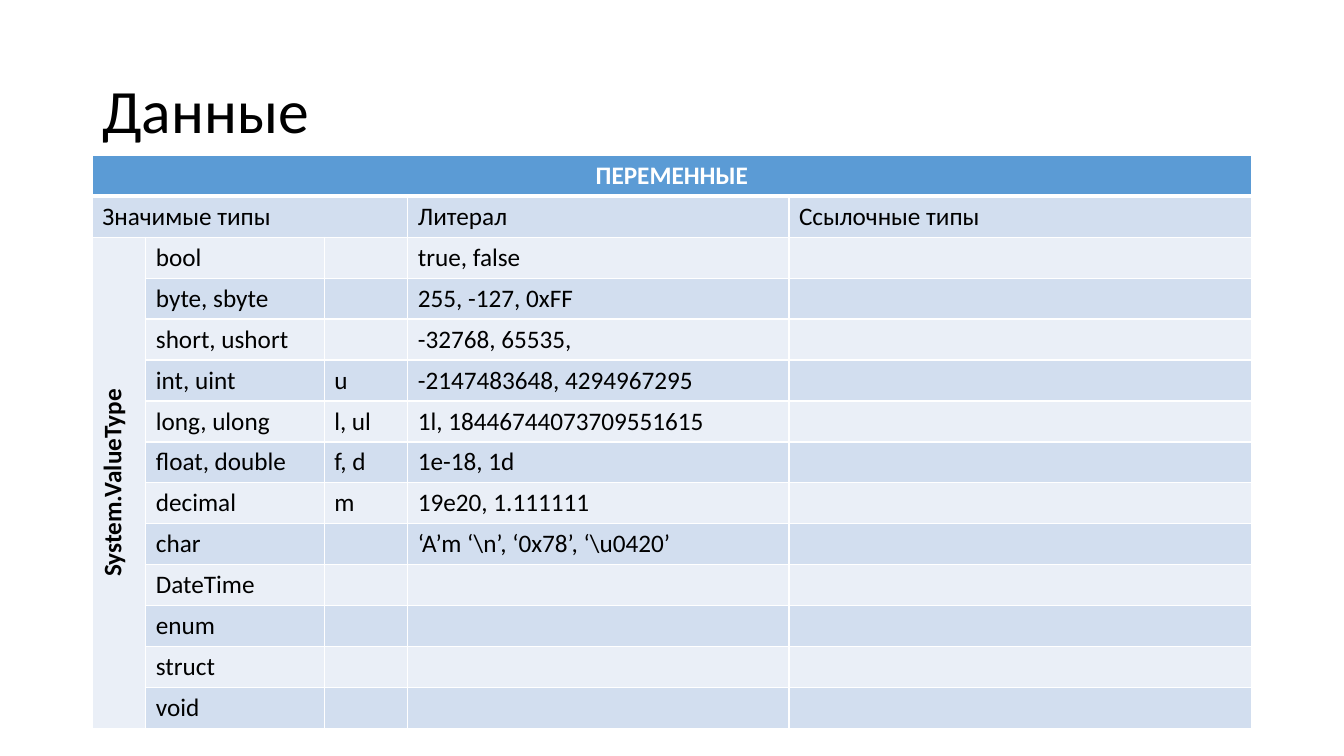
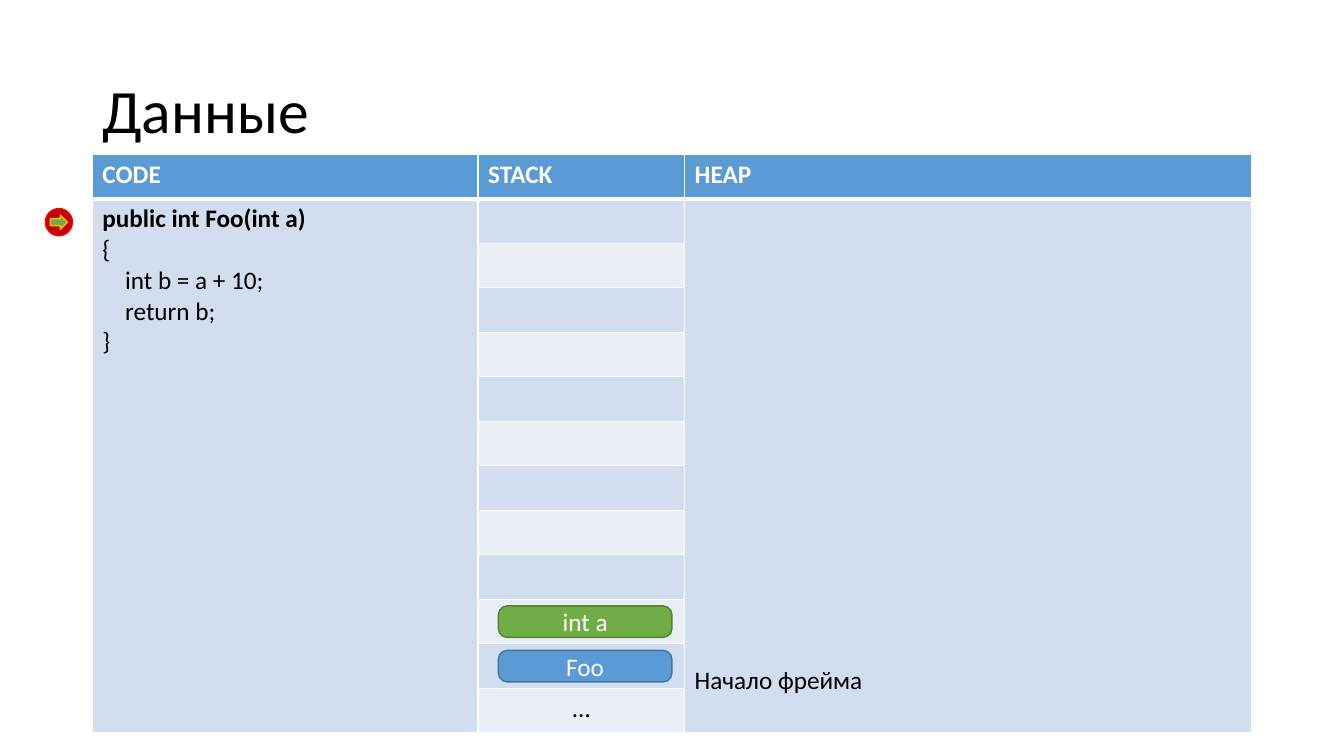
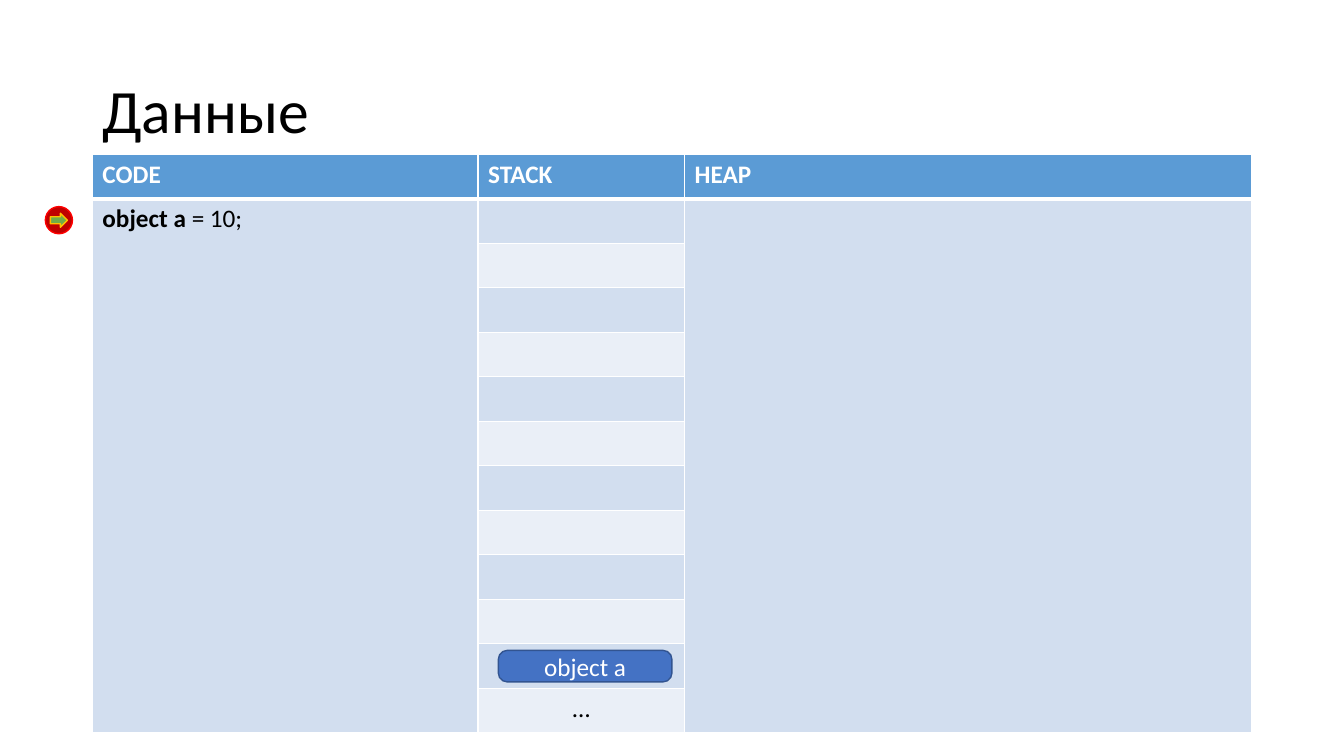
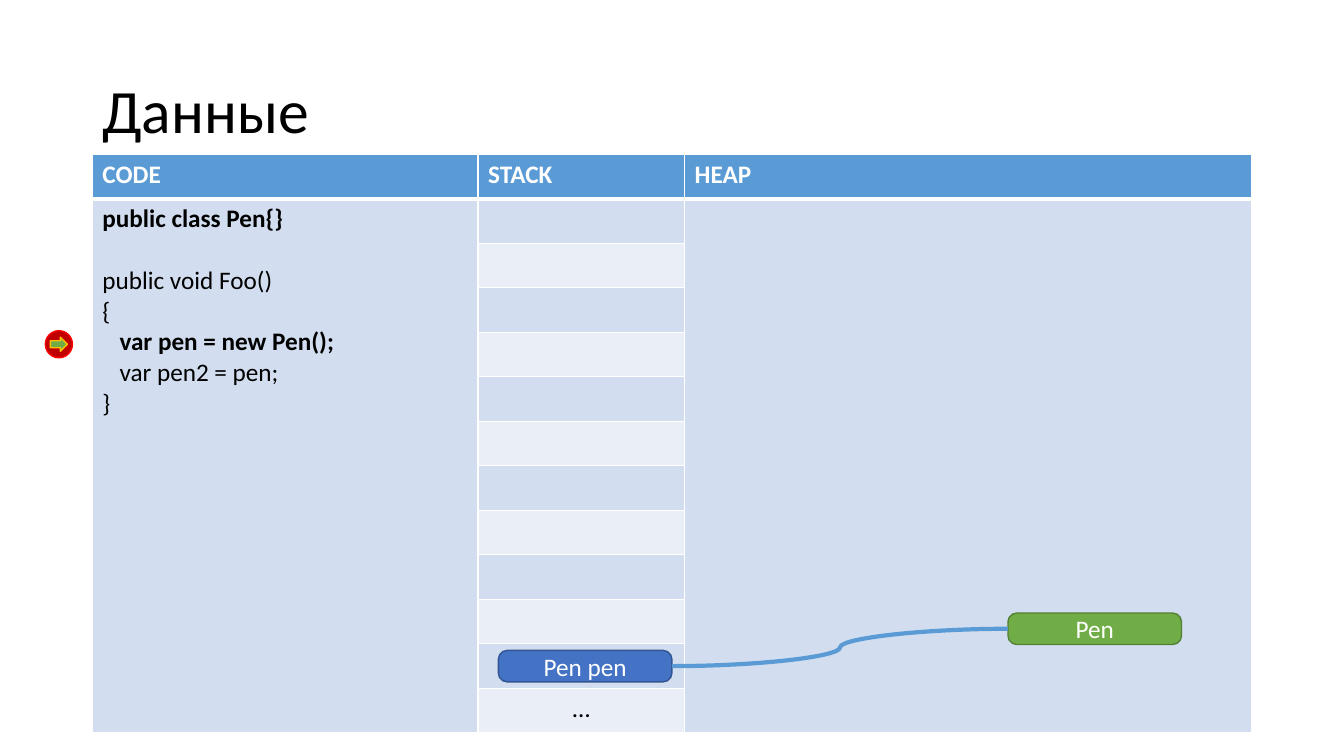
from lxml import etree
from pptx import Presentation
from pptx.dml.color import RGBColor
from pptx.enum.shapes import MSO_CONNECTOR, MSO_SHAPE
from pptx.enum.text import MSO_ANCHOR, PP_ALIGN
from pptx.oxml.ns import qn
from pptx.util import Pt

CENTER, LEFT = PP_ALIGN.CENTER, PP_ALIGN.LEFT
TOP, MIDDLE, BOTTOM = MSO_ANCHOR.TOP, MSO_ANCHOR.MIDDLE, MSO_ANCHOR.BOTTOM
ROUNDED, OVAL = MSO_SHAPE.ROUNDED_RECTANGLE, MSO_SHAPE.OVAL
ARROW, CURVE = MSO_SHAPE.RIGHT_ARROW, MSO_CONNECTOR.CURVE

# Content
TITLE = "Данные"
TYPES_HEADING = "ПЕРЕМЕННЫЕ"
TYPES_COLUMNS = ["Значимые типы", "", "", "Литерал", "Ссылочные типы"]
BASE_TYPE = "System.ValueType"
TYPES = [  # type, suffix, literal
    ("bool", "", "true, false"),
    ("byte, sbyte", "", "255, -127, 0xFF"),
    ("short, ushort", "", "-32768, 65535,"),
    ("int, uint", "u", "-2147483648, 4294967295"),
    ("long, ulong", "l, ul", "1l, 18446744073709551615"),
    ("float, double", "f, d", "1e-18, 1d"),
    ("decimal", "m", "19e20, 1.111111"),
    ("char", "", "‘A’m ‘\\n’, ‘0x78’, ‘\\u0420’"),
    ("DateTime", "", ""),
    ("enum", "", ""),
    ("struct", "", ""),
    ("void", "", ""),
]
MEMORY_COLUMNS = ["CODE", "STACK", "HEAP"]
# Code lines are (space before, [(text, bold)]); stack items are (row, text, colour)
MEMORY_SLIDES = [
    {"code": [(0, [("public int Foo(int a)", True)]),
              (0, [("{", False)]),
              (0, [("    int b = a + 10;", False)]),
              (0, [("    return b;", False)]),
              (0, [("}", False)])],
     "note": "Начало фрейма", "marker": 149,
     "stack": [(11, "Foo", "blue"), (10, "int a", "green")], "heap": ""},
    {"code": [(0, [("object a ", True), ("= 10;", False)])],
     "note": "", "marker": 147.6,
     "stack": [(11, "object a", "indigo")], "heap": ""},
    {"code": [(0, [("public class Pen{}", True)]),
              (22, [("public void Foo()", False)]),
              (0, [("{", False)]),
              (0, [("   var pen = new Pen();", True)]),
              (0, [("   var pen2 = pen;", False)]),
              (0, [("}", False)])],
     "note": "", "marker": 236.2,
     "stack": [(11, "Pen pen", "indigo")], "heap": "Pen"},
]

# Shared look
COLORS = {
    "black": "000000", "white": "FFFFFF", "band_dark": "D2DEEF", "band_light": "EAEFF7",
    "blue": "5B9BD5", "blue_edge": "43739E", "green": "70AD47", "green_edge": "538035",
    "indigo": "4472C4", "indigo_edge": "325491",
    "red": "C00000", "red_edge": "FF0000", "gold": "FFC000",
}
FONT = "Calibri"
TABLE_LEFT = 66
TYPES_TOP, TYPES_ROW, TYPES_WIDTHS = 110.9, 29.26, [38.2, 127.4, 59.8, 272.2, 330.4]
MEMORY_TOP, MEMORY_ROW, MEMORY_WIDTHS = 110.2, 31.8, [275.5, 147.5, 405]
MEMORY_ROWS = 13
NOTE_BOTTOM = 26
BOX_WIDTH, BOX_HEIGHT, BOX_INSET = 124, 22.5, 4.6
STACK_LEFT, HEAP_LEFT, HEAP_TOP = 356, 720, 437.9


def rgb(name):
    return RGBColor.from_string(COLORS[name])


def add_span(para, text, size=18, color="black", bold=False):
    span = para.add_run()
    span.text = text
    look = {"name": FONT, "size": Pt(size), "bold": bold}
    for key, value in look.items():
        setattr(span.font, key, value)
    span.font.color.rgb = rgb(color)


def add_slide(deck):
    page = deck.slides.add_slide(deck.slide_layouts[6])
    box = page.shapes.add_textbox(Pt(66), Pt(28.8), Pt(828), Pt(104.4))
    frame = box.text_frame
    frame.word_wrap = True
    frame.vertical_anchor = MIDDLE
    para = frame.paragraphs[0]
    para.line_spacing = 0.9
    add_span(para, TITLE, size=44)
    return page


def add_shape(shapes, kind, place, fill, edge):
    shape = shapes.add_shape(kind, *(Pt(value) for value in place))
    shape.shadow.inherit = False
    shape.fill.solid()
    shape.fill.fore_color.rgb = rgb(fill)
    shape.line.color.rgb = rgb(edge)
    shape.line.width = Pt(1)
    return shape


# Tables: blue header row, then alternating bands with white rules
def style_cell(cell, row):
    props = cell._tc.get_or_add_tcPr()
    for side in "LRTB":
        heavy = (row == 0 and side == "B") or (row == 1 and side == "T")
        rule = etree.SubElement(props, qn("a:ln" + side), w=str(Pt(3 if heavy else 1)))
        fill = etree.SubElement(rule, qn("a:solidFill"))
        etree.SubElement(fill, qn("a:srgbClr"), val=COLORS["white"])
    cell.fill.solid()
    band = "band_dark" if row % 2 else "band_light"
    cell.fill.fore_color.rgb = rgb("blue" if row == 0 else band)


def add_table(page, top, widths, row_count, row_height):
    frame = page.shapes.add_table(row_count, len(widths), Pt(TABLE_LEFT), Pt(top),
                                  Pt(sum(widths)), Pt(row_count * row_height))
    table = frame.table
    for column, width in zip(table.columns, widths):
        column.width = Pt(width)
    for index, row in enumerate(table.rows):
        row.height = Pt(row_height)
        for cell in row.cells:
            style_cell(cell, index)
    return table


def write_cell(cell, text, align=LEFT, anchor=TOP, color="black", bold=False):
    cell.vertical_anchor = anchor
    para = cell.text_frame.paragraphs[0]
    para.alignment = align
    if text:
        add_span(para, text, color=color, bold=bold)


def build_types_slide(deck):
    page = add_slide(deck)
    table = add_table(page, TYPES_TOP, TYPES_WIDTHS, len(TYPES) + 2, TYPES_ROW)
    last_row = len(TYPES) + 1
    for first, last in [((0, 0), (0, 4)), ((1, 0), (1, 2)), ((2, 0), (last_row, 0))]:
        table.cell(*first).merge(table.cell(*last))
    write_cell(table.cell(0, 0), TYPES_HEADING, CENTER, MIDDLE, "white", True)
    for column, text in enumerate(TYPES_COLUMNS):
        write_cell(table.cell(1, column), text)
    base = table.cell(2, 0)
    write_cell(base, BASE_TYPE, CENTER, bold=True)
    base._tc.tcPr.set("vert", "vert270")
    for row, texts in enumerate(TYPES, 2):
        for column, text in enumerate(texts, 1):
            write_cell(table.cell(row, column), text)


# Memory diagrams
def add_box(page, left, top, text, color):
    box = add_shape(page.shapes, ROUNDED, (left, top, BOX_WIDTH, BOX_HEIGHT),
                    color, color + "_edge")
    box.adjustments[0] = 0.28
    frame = box.text_frame
    frame.word_wrap = True
    frame.vertical_anchor = MIDDLE
    para = frame.paragraphs[0]
    para.alignment = CENTER
    add_span(para, text, color="white")
    return box


def add_marker(page, top):
    group = page.shapes.add_group_shape()
    add_shape(group.shapes, OVAL, (32.4, top, 19.4, 19.4), "red", "red_edge")
    add_shape(group.shapes, ARROW, (36, top + 4.7, 12.2, 10), "green", "gold")


def join(page, start, end):
    link = page.shapes.add_connector(CURVE, 0, 0, 0, 0)
    link.begin_connect(start, 3)
    link.end_connect(end, 1)
    link.line.color.rgb = rgb("blue")
    link.line.width = Pt(3)
    etree.SubElement(link._element.spPr, qn("a:effectLst"))


def build_memory_slide(deck, content):
    page = add_slide(deck)
    table = add_table(page, MEMORY_TOP, MEMORY_WIDTHS, MEMORY_ROWS, MEMORY_ROW)
    for column, text in enumerate(MEMORY_COLUMNS):
        write_cell(table.cell(0, column), text, color="white", bold=True)
    for column in (0, 2):
        table.cell(1, column).merge(table.cell(MEMORY_ROWS - 1, column))
    write_cell(table.cell(MEMORY_ROWS - 1, 1), "…", CENTER)

    frame = table.cell(1, 0).text_frame
    for index, (gap, spans) in enumerate(content["code"]):
        para = frame.add_paragraph() if index else frame.paragraphs[0]
        if gap:
            para.space_before = Pt(gap)
        for text, bold in spans:
            add_span(para, text, bold=bold)
    if content["note"]:
        heap_cell = table.cell(1, 2)
        heap_cell.margin_bottom = Pt(NOTE_BOTTOM)
        write_cell(heap_cell, content["note"], anchor=BOTTOM)

    for row, text, color in content["stack"]:
        top = MEMORY_TOP + row * MEMORY_ROW + BOX_INSET
        box = add_box(page, STACK_LEFT, top, text, color)
    if content["heap"]:
        join(page, box, add_box(page, HEAP_LEFT, HEAP_TOP, content["heap"], "green"))
    add_marker(page, content["marker"])


def main():
    deck = Presentation()
    deck.slide_width, deck.slide_height = Pt(960), Pt(540)
    build_types_slide(deck)
    for content in MEMORY_SLIDES:
        build_memory_slide(deck, content)
    deck.save("out.pptx")


if __name__ == "__main__":
    main()
